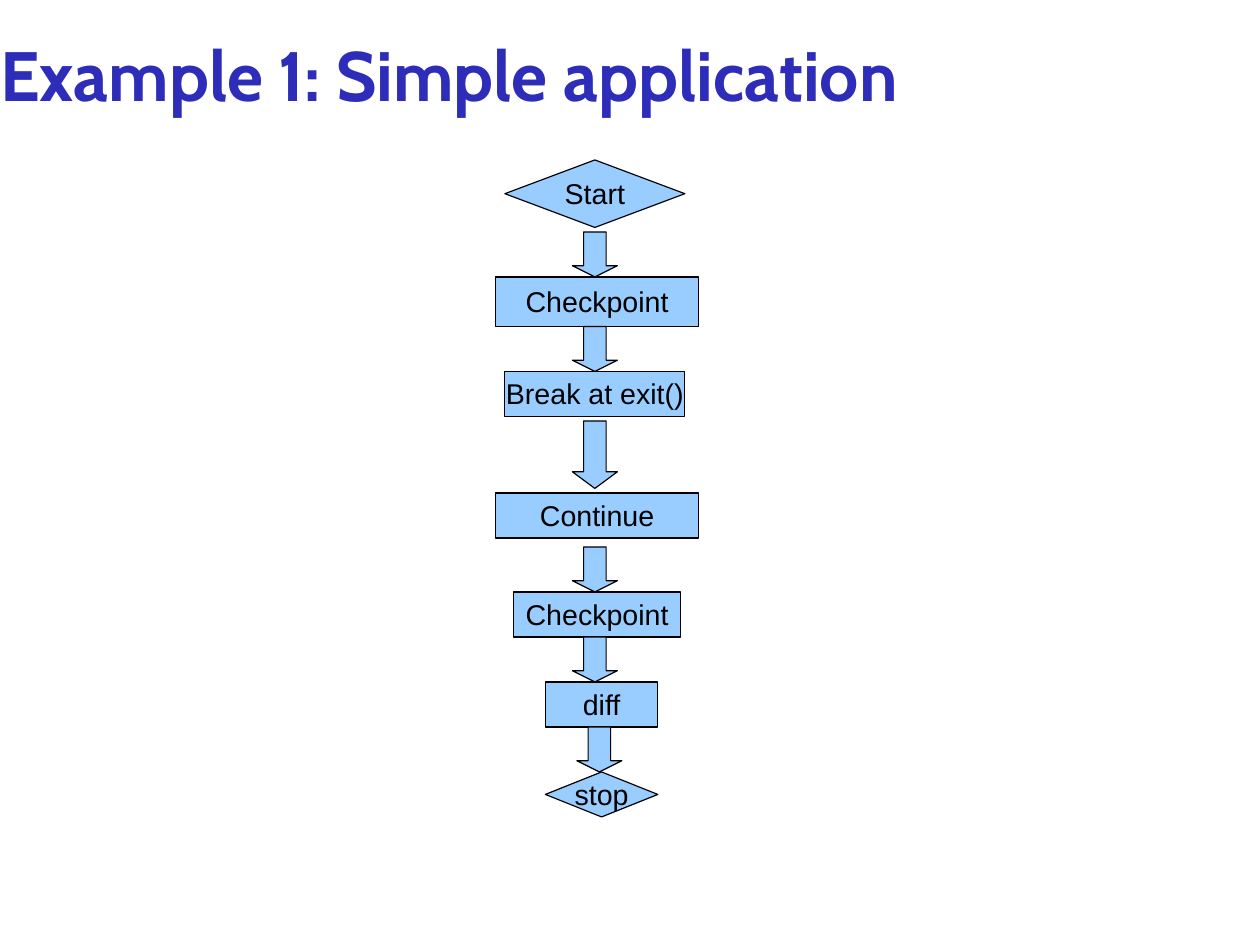
from pptx import Presentation, util as u
from pptx.dml.color import RGBColor
from pptx.enum import shapes, text

INDIGO = RGBColor(0x2D, 0x2D, 0xB9)
SKY = RGBColor(0x99, 0xCC, 0xFF)
BLACK = RGBColor(0, 0, 0)

CELL = u.Cm(0.5)
COLS, ROWS = 56, 42
TITLE_BOX = (0, 1.17, 50.4, 4.42)
FLOW_BOX = (22.04, 7.11, 9, 29.2)

DECISION = shapes.MSO_SHAPE.FLOWCHART_DECISION
PROCESS = shapes.MSO_SHAPE.FLOWCHART_PROCESS
STEPS = [
    ("Start", DECISION, 0.4, 0, 8, 3),
    ("Checkpoint", PROCESS, 0, 5.2, 9, 2.2),
    ("Break at exit()", PROCESS, 0.4, 9.4, 8, 2),
    ("Continue", PROCESS, 0, 14.8, 9, 2),
    ("Checkpoint", PROCESS, 0.8, 19.2, 7.4, 2),
    ("diff", PROCESS, 2.2, 23.2, 5, 2),
    ("stop", DECISION, 2.2, 27.2, 5, 2),
]
ARROWS = [
    (3.4, 3.2, 2, 0.25),
    (3.4, 7.4, 2, 0.25),
    (3.4, 11.6, 3, 0.37),
    (3.4, 17.2, 2, 0.25),
    (3.4, 21.2, 2, 0.25),
    (3.6, 25.2, 2, 0.25),
]


def cells(*counts):
    return [round(n * CELL) for n in counts]


def set_text(tf, label, font, size, color, spacing, margins):
    tf.vertical_anchor = text.MSO_ANCHOR.MIDDLE
    tf.auto_size = text.MSO_AUTO_SIZE.NONE
    tf.margin_left, tf.margin_top, tf.margin_right, tf.margin_bottom = map(u.Inches, margins)
    p = tf.paragraphs[0]
    p.line_spacing = spacing
    r = p.add_run()
    r.text = label
    r.font.name = font
    r.font.size = u.Pt(size)
    r.font.color.rgb = color
    return p, r


def add_title(s, box):
    sp = s.shapes.title
    sp.left, sp.top, sp.width, sp.height = cells(*box)
    p, r = set_text(sp.text_frame, "Example 1: Simple application",
                    "Cabin", 44, INDIGO, 0.98, (0, 0.02, 0, 0))
    p.alignment = text.PP_ALIGN.LEFT
    r.font.bold = True


def add_block(group, kind, col, row, width, height):
    sp = group.shapes.add_shape(kind, *cells(col, row, width, height))
    sp.shadow.inherit = False
    sp.fill.solid()
    sp.fill.fore_color.rgb = SKY
    sp.line.color.rgb = BLACK
    sp.line.width = u.Pt(0.75)
    return sp


def add_flow(s, box):
    left, top = box[:2]
    group = s.shapes.add_group_shape()
    for label, kind, col, row, width, height in STEPS:
        sp = add_block(group, kind, left + col, top + row, width, height)
        p, r = set_text(sp.text_frame, label, "Arial", 18, BLACK, 0.93, (0.1, 0.07, 0.1, 0.05))
        sp.text_frame.word_wrap = False
        p.alignment = text.PP_ALIGN.CENTER
    for col, row, height, head in ARROWS:
        sp = add_block(group, shapes.MSO_SHAPE.DOWN_ARROW, left + col, top + row, 2, height)
        sp.adjustments[0] = 0.5
        sp.adjustments[1] = head


def main():
    prs = Presentation()
    prs.slide_width, prs.slide_height = cells(COLS, ROWS)
    s = prs.slides.add_slide(prs.slide_layouts[5])
    add_title(s, TITLE_BOX)
    add_flow(s, FLOW_BOX)
    prs.save("out.pptx")


if __name__ == "__main__":
    main()
